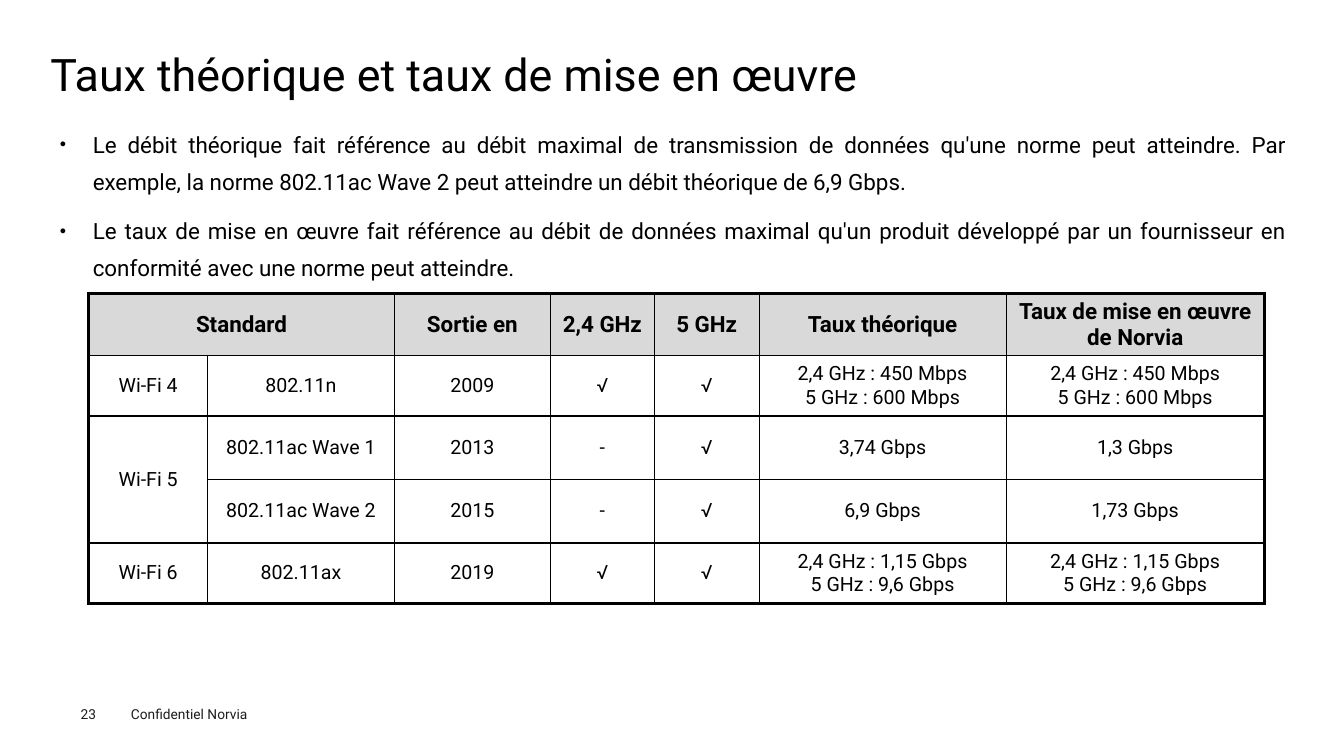
from lxml.etree import SubElement
from pptx import Presentation
from pptx.dml.color import RGBColor
from pptx.enum.text import MSO_ANCHOR as ANCHOR, MSO_AUTO_SIZE as AUTO, PP_ALIGN as ALIGN
from pptx.oxml.ns import qn
from pptx.util import Inches, Pt

BLACK = RGBColor(0x00, 0x00, 0x00)
FOOTER_INK = RGBColor(0x1D, 0x1D, 0x1B)
HEADER_GREY = RGBColor(0xD9, 0xD9, 0xD9)
MARGIN, CONTENT_WIDTH = Inches(0.5), Inches(12.35)
THIN, THICK = Pt(1), Pt(2.25)


def style(paragraph, size, color=BLACK, bold=False):
    font = paragraph.font
    font.name, font.size, font.bold = "Roboto", Pt(size), bold
    font.color.rgb = color


def add_border(cell, side, width):
    line = SubElement(cell._tc.get_or_add_tcPr(), qn(f"a:ln{side}"), w=str(width))
    fill = SubElement(line, qn("a:solidFill"))
    SubElement(fill, qn("a:srgbClr"), val=str(BLACK))


prs = Presentation()
prs.slide_width, prs.slide_height = Inches(13.33), Inches(7.5)
slide = prs.slides.add_slide(prs.slide_layouts[1])

# Title
title = slide.shapes.title
title.left, title.top, title.width, title.height = MARGIN, Inches(0.49), CONTENT_WIDTH, Inches(0.54)
heading = title.text_frame
heading.margin_left = heading.margin_right = heading.margin_top = heading.margin_bottom = 0
heading.vertical_anchor, heading.auto_size = ANCHOR.MIDDLE, AUTO.NONE
heading.text = "Taux théorique et taux de mise en œuvre"
heading.paragraphs[0].alignment = ALIGN.LEFT
heading.paragraphs[0].line_spacing = 0.9
style(heading.paragraphs[0], 32)

# Definitions of the two rates
definitions = slide.placeholders[1]
definitions.left, definitions.top = MARGIN, Inches(1.15)
definitions.width, definitions.height = CONTENT_WIDTH, Inches(5.33)
body = definitions.text_frame
body.margin_left = body.margin_right = Inches(0.09)
body.margin_top = body.margin_bottom = Inches(0.04)
body.vertical_anchor, body.auto_size = ANCHOR.TOP, AUTO.NONE
body.text = (
    "Le débit théorique fait référence au débit maximal de transmission de données qu'une norme "
    "peut atteindre. Par exemple, la norme 802.11ac Wave 2 peut atteindre un débit théorique de 6,9 Gbps.\n"
    "Le taux de mise en œuvre fait référence au débit de données maximal qu'un produit développé "
    "par un fournisseur en conformité avec une norme peut atteindre."
)
for index, definition in enumerate(body.paragraphs):
    props = definition._p.get_or_add_pPr()
    props.set("marL", str(Inches(0.33)))
    props.set("indent", str(-Inches(0.33)))
    SubElement(props, qn("a:buSzPct"), val="50000")
    SubElement(props, qn("a:buChar"), char="●")
    definition.alignment = ALIGN.JUSTIFY
    definition.line_spacing = 1.4
    definition.space_before = Pt(7.9 if index else 0)
    style(definition, 16)

# Table of standards
column_widths = [1.18, 1.85, 1.55, 1.03, 1.04, 2.45, 2.56]
row_heights = [0.61, 0.6, 0.63, 0.63, 0.6]
wifi4_rates = "2,4 GHz : 450 Mbps\n5 GHz : 600 Mbps"
wifi6_rates = "2,4 GHz : 1,15 Gbps\n5 GHz : 9,6 Gbps"
standards = [
    ["Standard", "", "Sortie en", "2,4 GHz", "5 GHz", "Taux théorique", "Taux de mise en œuvre de Norvia"],
    ["Wi-Fi 4", "802.11n", "2009", "√", "√", wifi4_rates, wifi4_rates],
    ["Wi-Fi 5", "802.11ac Wave 1", "2013", "-", "√", "3,74 Gbps", "1,3 Gbps"],
    ["", "802.11ac Wave 2", "2015", "-", "√", "6,9 Gbps", "1,73 Gbps"],
    ["Wi-Fi 6", "802.11ax", "2019", "√", "√", wifi6_rates, wifi6_rates],
]
last_row, last_col = len(row_heights) - 1, len(column_widths) - 1
table = slide.shapes.add_table(
    len(row_heights), len(column_widths), Inches(0.88), Inches(2.91),
    Inches(sum(column_widths)), Inches(sum(row_heights)),
).table
table.first_row = table.horz_banding = False
for column, width in zip(table.columns, column_widths):
    column.width = Inches(width)
for row, height in zip(table.rows, row_heights):
    row.height = Inches(height)
table.cell(0, 0).merge(table.cell(0, 1))
table.cell(2, 0).merge(table.cell(3, 0))

for r, values in enumerate(standards):
    for c, value in enumerate(values):
        cell = table.cell(r, c)
        cell.vertical_anchor = ANCHOR.MIDDLE
        cell.margin_left = cell.margin_right = Inches(0.08)
        cell.margin_top = cell.margin_bottom = Inches(0.05)
        outer_edges = {"L": c == 0, "R": c == last_col, "T": r == 0, "B": r == last_row}
        for side, is_outer in outer_edges.items():
            add_border(cell, side, THICK if is_outer else THIN)
        if r == 0:
            cell.fill.solid()
            cell.fill.fore_color.rgb = HEADER_GREY
        else:
            cell.fill.background()
        if cell.is_spanned:
            continue
        cell.text = value
        for line in cell.text_frame.paragraphs:
            line.alignment = ALIGN.CENTER
            style(line, 14 if r else 16, bold=r == 0)

# Footer: page number and confidentiality notice
for text, left, top, width, height, inset_x, inset_y in [
    ("23", 0.8, 7, 0.55, 0.16, 0, 0),
    ("Confidentiel Norvia", 1.2, 6.95, 1.6, 0.27, 0.1, 0.05),
]:
    footer = slide.shapes.add_textbox(Inches(left), Inches(top), Inches(width), Inches(height)).text_frame
    footer.word_wrap = True
    footer.margin_left = footer.margin_right = Inches(inset_x)
    footer.margin_top = footer.margin_bottom = Inches(inset_y)
    footer.text = text
    style(footer.paragraphs[0], 9.8, FOOTER_INK)

prs.save("out.pptx")
